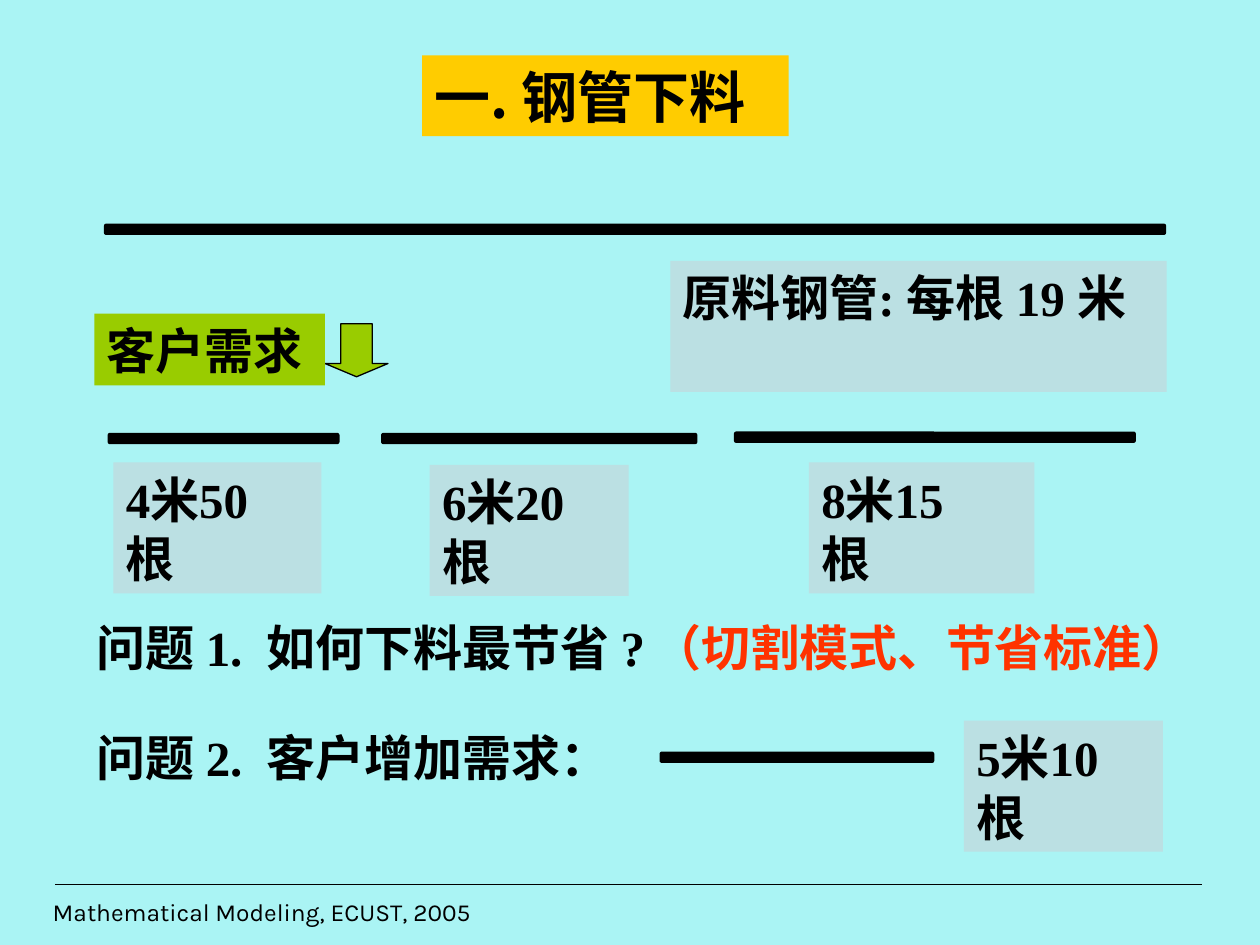
from lxml import etree
from pptx import Presentation
from pptx.dml.color import RGBColor
from pptx.enum.shapes import MSO_CONNECTOR, MSO_SHAPE
from pptx.enum.text import MSO_ANCHOR, MSO_AUTO_SIZE, PP_ALIGN
from pptx.oxml.ns import qn
from pptx.util import Inches, Pt

RECT, BAR, ARROW = MSO_SHAPE.RECTANGLE, MSO_SHAPE.ROUNDED_RECTANGLE, MSO_SHAPE.DOWN_ARROW
STRAIGHT = MSO_CONNECTOR.STRAIGHT
LEFT, TOP, NO_FIT = PP_ALIGN.LEFT, MSO_ANCHOR.TOP, MSO_AUTO_SIZE.NONE

THEME = {
    "background": "AAF4F4", "title": "FFCC00", "pipe": "BBE0E3", "demand": "99CC00",
    "ink": "000000", "hint": "FF3300",
    "title_size": 32, "body_size": 28, "footer_size": 14,
    "cjk": "Noto Sans CJK SC", "latin": "Times New Roman", "footer_font": "Karla",
}
LINE_HEIGHT = 1.21  # line pitch as a multiple of the type size

# Content: positions are (left, top, width, height) in inches
TITLE = ("一. 钢管下料", (3.35, 0.44, 2.91, 0.64))
FOOTER = ("Mathematical Modeling, ECUST, 2005", (0.32, 7.07, 3.85, 0.34))
FOOTER_RULE = (0.44, 7.02, 9.54, 7.02)
DEMAND_ARROW = (2.58, 2.57, 0.5, 0.42)

# Pipes: (left, top, width) of the bar
PIPES = [
    (0.83, 1.78, 8.42),
    (0.86, 3.44, 1.83),
    (3.03, 3.44, 2.5),
    (5.83, 3.43, 3.18),
    (5.24, 5.97, 2.17),
]
BAR_HEIGHT = 0.08

# Labels: text, position, fill, text colour, wraps
LABELS = [
    ("原料钢管: 每根 19 米", (5.32, 2.07, 3.94, 1.04), "pipe", "ink", True),
    ("客户需求", (0.75, 2.49, 1.83, 0.57), "demand", "ink", False),
    ("4米50根", (0.9, 3.67, 1.65, 1.04), "pipe", "ink", True),
    ("6米20根", (3.41, 3.69, 1.58, 1.04), "pipe", "ink", True),
    ("8米15 根", (6.42, 3.67, 1.79, 1.04), "pipe", "ink", True),
    ("问题 1.  如何下料最节省 ?", (0.67, 4.85, 4.73, 1.04), None, "ink", True),
    ("问题 2.  客户增加需求：", (0.67, 5.72, 4.33, 1.04), None, "ink", True),
    ("5米10根", (7.65, 5.72, 1.58, 1.04), "pipe", "ink", True),
    ("（切割模式、节省标准）", (5.08, 4.85, 4.49, 0.57), None, "hint", False),
]


def color(key):
    return RGBColor.from_string(THEME[key])


def paint(sp, fill):
    sp.fill.solid()
    sp.fill.fore_color.rgb = color(fill)


def write(sp, text, size, font, ink="ink", wrap=False, bold=True):
    """Fill a text frame with one left-aligned paragraph."""
    tf = sp.text_frame
    frame = {
        "auto_size": NO_FIT, "word_wrap": wrap, "vertical_anchor": TOP,
        "margin_left": Inches(0.1), "margin_right": Inches(0.25 if wrap else 0.1),
        "margin_top": Inches(0.05), "margin_bottom": Inches(0.05),
    }
    for name, value in frame.items():
        setattr(tf, name, value)
    p = tf.paragraphs[0]
    p.alignment = LEFT
    p.space_before = Pt(0)
    p.line_spacing = Pt(round(THEME[size] * LINE_HEIGHT))
    r = p.add_run()
    r.text = text
    for name, value in {"name": THEME[font], "size": Pt(THEME[size]), "bold": bold}.items():
        setattr(r.font, name, value)
    r.font.color.rgb = color(ink)
    # East Asian typeface follows the Latin one
    latin = r.font._element.find(qn("a:latin"))
    ea = etree.Element(qn("a:ea"), typeface=THEME["cjk"])
    latin.addnext(ea)


def add_shape(s, kind, box, fill, outlined=True):
    sp = s.shapes.add_shape(kind, *map(Inches, box))
    sp.shadow.inherit = False
    paint(sp, fill)
    if outlined:
        sp.line.color.rgb = color("ink")
        sp.line.width = Pt(0.75)
    else:
        sp.line.fill.background()
    return sp


def main():
    prs = Presentation()
    prs.slide_width, prs.slide_height = Inches(10), Inches(7.5)
    s = prs.slides.add_slide(prs.slide_layouts[5])
    s.background.fill.solid()
    s.background.fill.fore_color.rgb = color("background")

    # Title
    text, box = TITLE
    title = s.shapes.title
    title.left, title.top, title.width, title.height = map(Inches, box)
    paint(title, "title")
    write(title, text, "title_size", "cjk")

    # Footer
    text, box = FOOTER
    write(s.shapes.add_textbox(*map(Inches, box)), text,
          "footer_size", "footer_font", bold=False)
    rule = s.shapes.add_connector(STRAIGHT, *map(Inches, FOOTER_RULE))
    rule.line.color.rgb = color("ink")
    rule.line.width = Pt(0.75)
    etree.SubElement(rule._element.spPr, qn("a:effectLst"))

    # Pipes and demand arrow
    for pipe in PIPES:
        add_shape(s, BAR, (*pipe, BAR_HEIGHT), "ink")
    arrow = add_shape(s, ARROW, DEMAND_ARROW, "demand")
    arrow.adjustments[1] = 0.25

    # Labels and questions
    for text, box, fill, ink, wrap in LABELS:
        if fill:
            sp = add_shape(s, RECT, box, fill, outlined=False)
        else:
            sp = s.shapes.add_textbox(*map(Inches, box))
        write(sp, text, "body_size", "latin", ink, wrap)

    prs.save("out.pptx")


if __name__ == "__main__":
    main()
